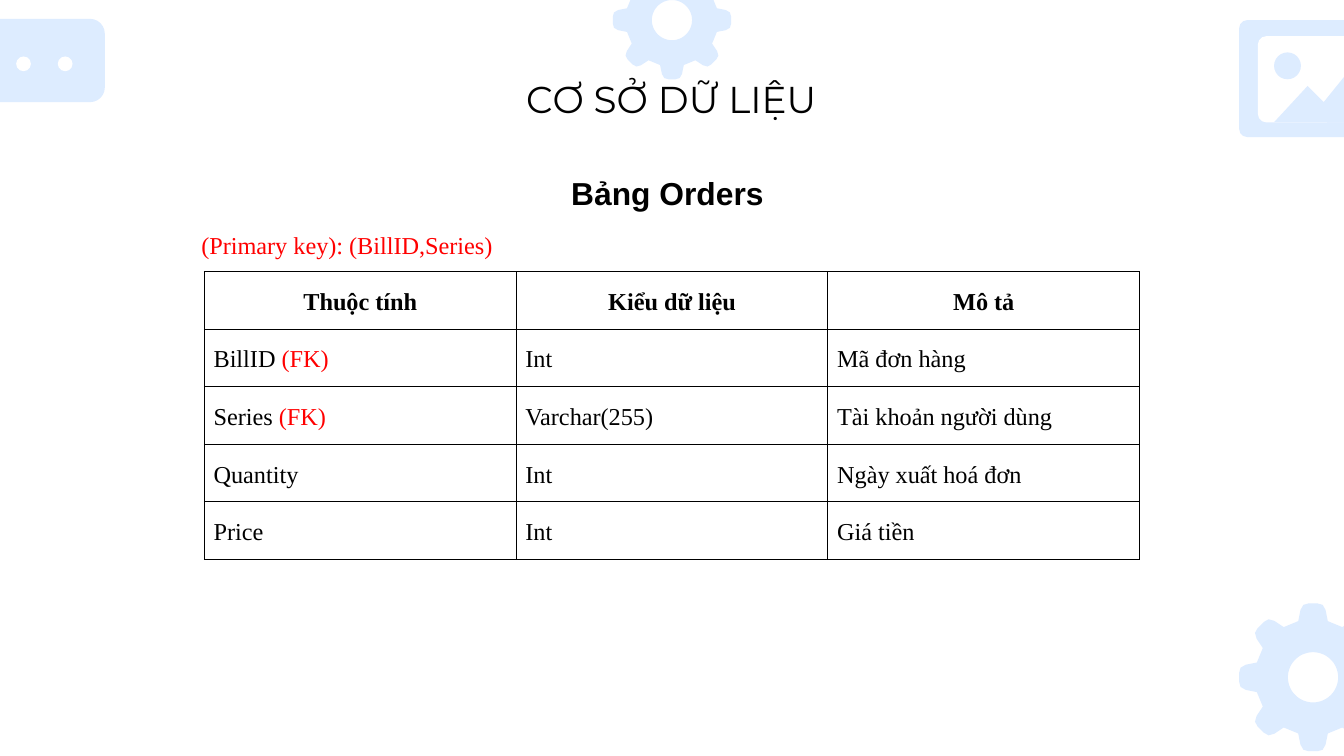
import math
from lxml import etree
from pptx import Presentation
from pptx.dml.color import RGBColor
from pptx.enum import shapes, text
from pptx.oxml import ns
from pptx.util import Inches, Pt

COLORS = {"ink": "000000", "key": "FF0000", "pale": "DDECFF", "white": "FFFFFF"}
TITLE = "CƠ SỞ DỮ LIỆU"
SUBTITLE = "Bảng Orders "
PRIMARY_KEY = "(Primary key): (BillID,Series)"
HEADERS = ["Thuộc tính", "Kiểu dữ liệu", "Mô tả"]
FK = ("(FK)", "key")
ROWS = [
    [[("BillID ", "ink"), FK], "Int", "Mã đơn hàng"],
    [[("Series ", "ink"), FK], "Varchar(255)", "Tài khoản người dùng"],
    ["Quantity", "Int", "Ngày xuất hoá đơn"],
    ["Price", "Int", "Giá tiền"],
]

GEARS = [(9.77, 5.04, 0.55), (5, 0.15, 0.44)]
TOOTH = [(-0.2, 0.76), (-0.17, 0.91), (-0.13, 0.98), (-0.06, 1),
         (0.06, 1), (0.13, 0.98), (0.17, 0.91), (0.2, 0.76)]
HOLE = 0.34
ROUND, OVAL = shapes.MSO_SHAPE.ROUNDED_RECTANGLE, shapes.MSO_SHAPE.OVAL
ICON_PARTS = [
    (ROUND, (-0.44, 0.14, 1.22, 0.62), 0.11, "pale"),
    (OVAL, (0.12, 0.42, 0.11, 0.11), 0, "white"),
    (OVAL, (0.43, 0.42, 0.11, 0.11), 0, "white"),
    (ROUND, (9.22, 0.15, 1.22, 0.87), 0.06, "pale"),
    (ROUND, (9.36, 0.27, 0.95, 0.64), 0.06, "white"),
    (OVAL, (9.48, 0.39, 0.2, 0.2), 0, "pale"),
]
MOUNTAINS = [(9.48, 0.91), (9.73, 0.64), (9.85, 0.76),
             (10.1, 0.45), (10.31, 0.73), (10.31, 0.91)]

LEFT = text.PP_ALIGN.LEFT
CENTER = text.PP_ALIGN.CENTER
TOP = text.MSO_ANCHOR.TOP
MIDDLE = text.MSO_ANCHOR.MIDDLE
TITLE_FONT = {"name": "Montserrat", "size": Pt(20), "bold": False}
SUBTITLE_FONT = {"name": "Arial", "size": Pt(17), "bold": True}
BODY_FONT = {"name": "Times New Roman", "size": Pt(13), "bold": False}
HEADER_FONT = {**BODY_FONT, "bold": True}
SUBTITLE_PARA = {"alignment": CENTER, "line_spacing": 1.15,
                 "space_before": Pt(18), "space_after": Pt(4)}
CELL_PARA = {"line_spacing": 1.15, "space_before": Pt(12)}


def set_attrs(obj, values):
    for name, value in values.items():
        setattr(obj, name, value)


def paint(sp, color):
    sp.shadow.inherit = False
    sp.fill.solid()
    sp.fill.fore_color.rgb = RGBColor.from_string(COLORS[color])
    sp.line.fill.background()


def write(tf, runs, font, para):
    p = tf.paragraphs[0]
    set_attrs(p, para)
    for content, color in runs:
        r = p.add_run()
        r.text = content
        set_attrs(r.font, font)
        r.font.color.rgb = RGBColor.from_string(COLORS[color])


def fill_box(sp, box, runs, font, para, anchor=TOP):
    set_attrs(sp, dict(zip(("left", "top", "width", "height"), map(Inches, box))))
    tf = sp.text_frame
    set_attrs(tf, {"word_wrap": True, "auto_size": text.MSO_AUTO_SIZE.NONE,
                   "vertical_anchor": anchor})
    set_attrs(tf, {f"margin_{side}": Inches(0.1)
                   for side in ("left", "top", "right", "bottom")})
    write(tf, runs, font, para)


def add_outline(s, contours, color):
    scaled = [[(Inches(x), Inches(y)) for x, y in c] for c in contours]
    builder = s.shapes.build_freeform(*scaled[0][0])
    builder.add_line_segments(scaled[0][1:], close=True)
    for contour in scaled[1:]:
        builder.move_to(*contour[0])
        builder.add_line_segments(contour[1:], close=True)
    paint(builder.convert_to_shape(), color)


def gear_contours(cx, cy, radius):
    rim = []
    for k in range(8):
        a = k * math.pi / 4
        for x, y in TOOTH:
            rim.append((cx + radius * (x * math.cos(a) + y * math.sin(a)),
                        cy + radius * (x * math.sin(a) - y * math.cos(a))))
    hole = [(cx + radius * HOLE * math.cos(k * math.pi / 30),
             cy - radius * HOLE * math.sin(k * math.pi / 30)) for k in range(60)]
    return [rim, hole]


def add_borders(cell):
    tc_pr = cell._tc.get_or_add_tcPr()
    for i, side in enumerate(("lnL", "lnR", "lnT", "lnB")):
        ln = etree.Element(ns.qn(f"a:{side}"), w=str(Pt(0.6)))
        solid = etree.SubElement(ln, ns.qn("a:solidFill"))
        etree.SubElement(solid, ns.qn("a:srgbClr"), val=COLORS["ink"])
        tc_pr.insert(i, ln)


def add_orders_table(s):
    rows = [HEADERS] + ROWS
    table = s.shapes.add_table(len(rows), len(HEADERS), Inches(1.52), Inches(2.02),
                               Inches(2.32 * len(HEADERS)),
                               Inches(0.3 * len(rows))).table
    set_attrs(table, {"first_row": False, "horz_banding": False})
    for i, row in enumerate(rows):
        for j, content in enumerate(row):
            cell = table.cell(i, j)
            set_attrs(cell, {"margin_left": Inches(0.07), "margin_right": Inches(0.07),
                             "margin_top": Inches(0.1), "margin_bottom": Inches(0.1)})
            cell.fill.background()
            add_borders(cell)
            runs = [(content, "ink")] if isinstance(content, str) else content
            font, align = (BODY_FONT, LEFT) if i else (HEADER_FONT, CENTER)
            write(cell.text_frame, runs, font, {**CELL_PARA, "alignment": align})


def main():
    prs = Presentation()
    width = Inches(10)
    set_attrs(prs, {"slide_width": width, "slide_height": width * 9 // 16})
    s = prs.slides.add_slide(prs.slide_layouts[5])

    for gear in GEARS:
        add_outline(s, gear_contours(*gear), "pale")
    for kind, box, radius, color in ICON_PARTS:
        sp = s.shapes.add_shape(kind, *map(Inches, box))
        if radius:
            sp.adjustments[0] = radius / min(box[2:])
        paint(sp, color)
    add_outline(s, [MOUNTAINS], "pale")

    fill_box(s.shapes.title, (1.4, 0.47, 7.19, 0.59), [(TITLE, "ink")],
             TITLE_FONT, {"alignment": CENTER})
    fill_box(s.shapes.add_textbox(0, 0, 0, 0), (3.48, 1.18, 3.04, 0.47),
             [(SUBTITLE, "ink")], SUBTITLE_FONT, SUBTITLE_PARA, MIDDLE)
    add_orders_table(s)
    fill_box(s.shapes.add_textbox(0, 0, 0, 0), (1.4, 1.61, 2.9, 0.41),
             [(PRIMARY_KEY, "key")], BODY_FONT, {"alignment": LEFT})

    prs.save("out.pptx")


if __name__ == "__main__":
    main()
